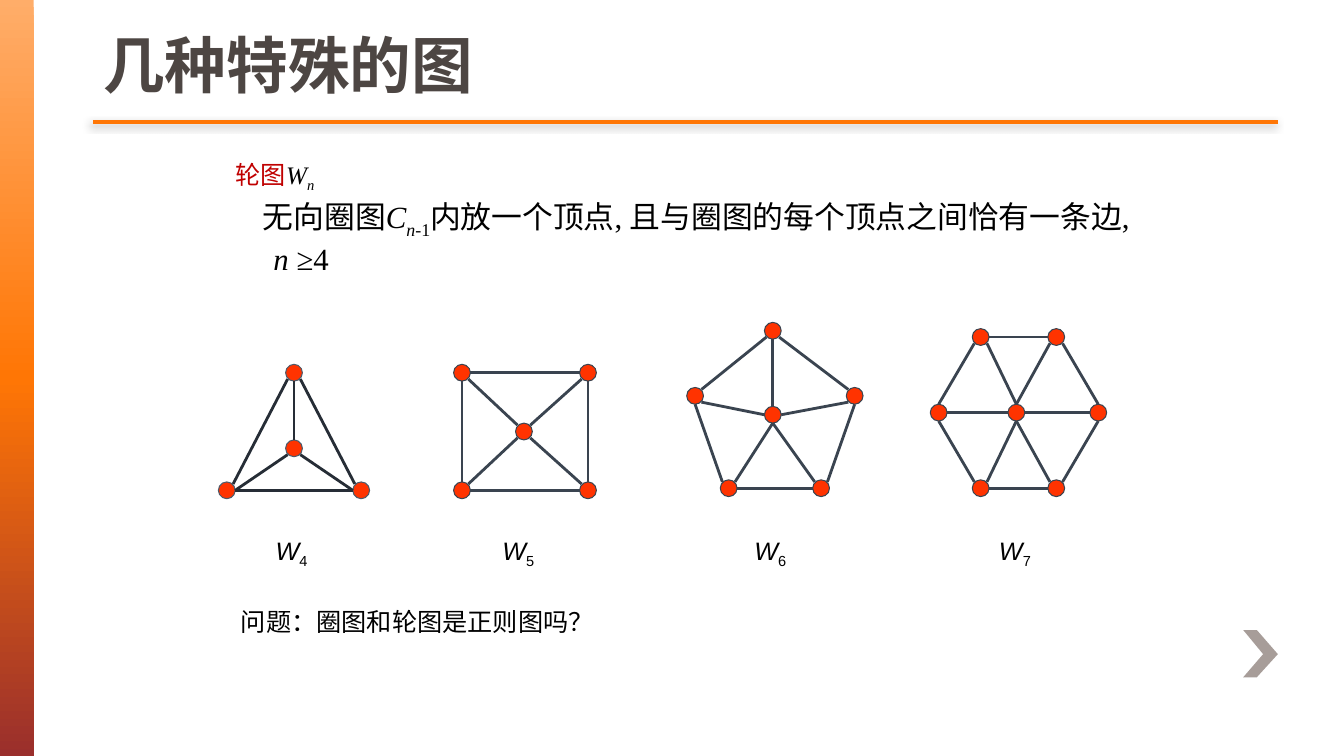
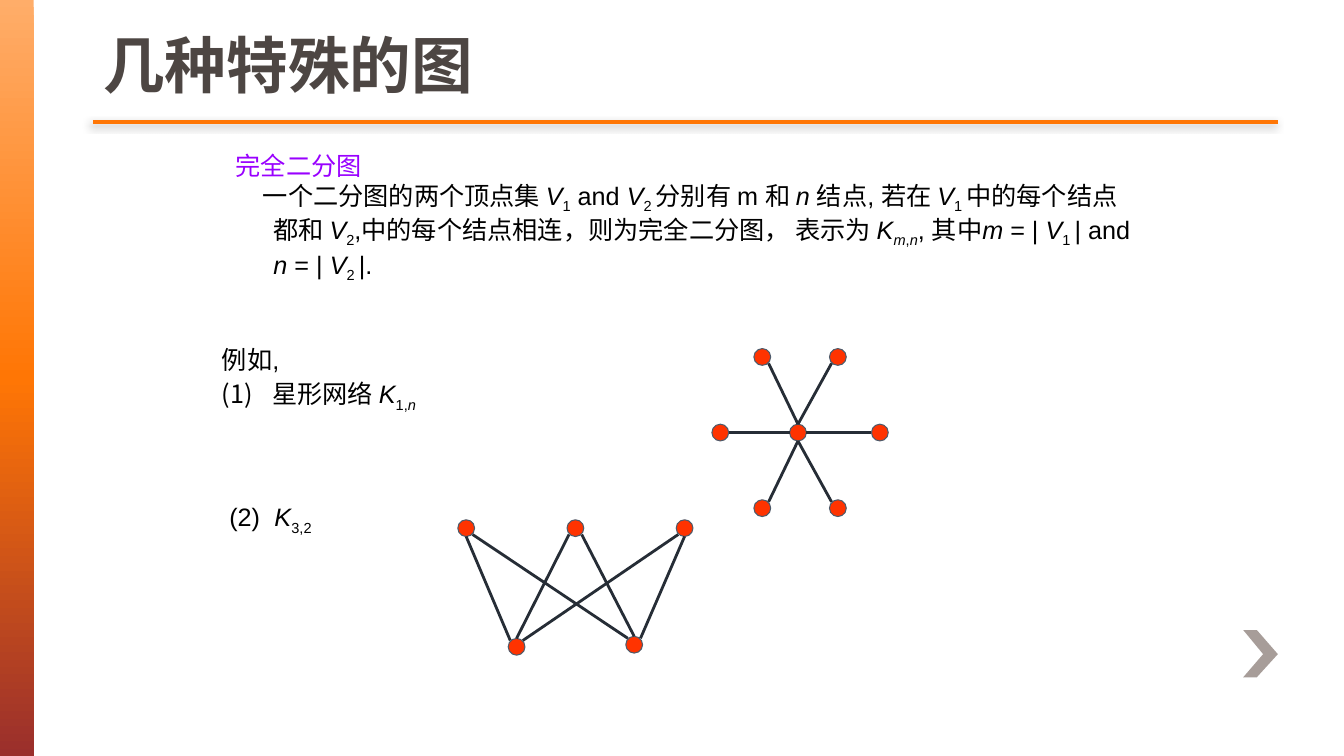
import copy

import lxml.etree
import pptx
import pptx.dml.color
import pptx.enum.shapes
import pptx.enum.text
import pptx.oxml.ns
import pptx.util

PX = 9525  # EMU per px, 96 px to the inch
RADIUS = 8
DIAGONAL = 6

COLORS = {
    "orange": "FF7605", "peach": "FFAD69", "brick": "9A2F2C",
    "taupe": "A79D99", "title": "4D4643", "title_edge": "675D59",
    "black": "000000", "red": "C00000", "purple": "9900FF",
    "vertex": "FF3300", "slate": "4D5B6B", "steel": "3A4450", "ink": "262D36",
}

SITES = {
    "n": (0, -RADIUS), "ne": (DIAGONAL, -DIAGONAL),
    "e": (RADIUS, 0), "se": (DIAGONAL, DIAGONAL),
    "s": (0, RADIUS), "sw": (-DIAGONAL, DIAGONAL),
    "w": (-RADIUS, 0), "nw": (-DIAGONAL, -DIAGONAL),
}

# Vertices are offsets from the hub, which comes last in each wheel.
TRIANGLE = [(-64, 40), (64, 40), (0, -72), (0, 0)]
SQUARE = [(-59, 56), (61, 56), (-59, -56), (61, -56), (0, 0)]
PENTAGON = [(-42, 70), (46, 70), (-74, -18), (78, -18), (0, -80), (0, 0)]
HEXAGON = [(-34, 72), (38, 72), (-74, 0), (78, 0), (-34, -72), (38, -72), (0, 0)]
BIPARTITE = [(-56, 113), (56, 111), (-104, 0), (104, 0), (0, 0)]

# An edge names a vertex and its compass point at either end.
TRIANGLE_EDGES = "0ne-2sw 0e-1w 1nw-2se 0e-3sw 1w-3se 3n-2s"
SQUARE_EDGES = "0n-2s 2e-3w 3s-1n 0e-1w 0ne-4sw 4nw-2se 4ne-3sw 4se-1nw"
PENTAGON_EDGES = ("2s-0nw 0e-1w 1ne-3s 3nw-4se 2ne-4sw "
                  "0ne-5s 1nw-5s 2se-5w 5e-3sw 5n-4s")
HEXAGON_RIM = "2s-0nw 0e-1w 1ne-3s 3n-5se 2n-4sw 4e-5w"
HEXAGON_SPOKES = "0ne-6s 1nw-6s 2e-6w 6e-3w 6n-4se 6n-5sw"
BIPARTITE_EDGES = "2s-0nw 4sw-0n 1ne-3s 3sw-0ne 2se-1nw 4se-1n"


def rgb(name):
    return pptx.dml.color.RGBColor.from_string(COLORS[name])


def sub(parent, tag, **attrs):
    """Append a DrawingML child."""
    child = lxml.etree.SubElement(parent, pptx.oxml.ns.qn("a:" + tag))
    for key, value in attrs.items():
        child.set(key, str(value))
    return child


class Deck:
    def __init__(self):
        self.prs = pptx.Presentation()
        self.prs.slide_width = 1280 * PX
        self.prs.slide_height = 720 * PX
        self.slide = None

    def new_slide(self, title):
        self.slide = self.prs.slides.add_slide(self.prs.slide_layouts[6])
        self.side_band()
        self.chevron()
        rule = self.line(89, 116, 1217, 116, "orange", 2.5)
        self.shadow(rule)
        tf = self.textbox(89, 0, 1121, 101)
        tf.vertical_anchor = pptx.enum.text.MSO_ANCHOR.BOTTOM
        p = self.paragraph(tf, [(title, "b")], size=44, color="title")
        rPr = p.runs[0].font._element
        outline = lxml.etree.Element(pptx.oxml.ns.qn("a:ln"), w="12700")
        sub(sub(outline, "solidFill"), "srgbClr", val=COLORS["title_edge"])
        rPr.insert(0, outline)

    def side_band(self):
        s = self.shape(pptx.enum.shapes.MSO_SHAPE.RECTANGLE, 0, 0, 32, 720)
        s.fill.gradient()
        s.fill.gradient_angle = 270
        stops = s._element.spPr.find(".//" + pptx.oxml.ns.qn("a:gsLst"))
        stops.append(copy.deepcopy(stops[-1]))
        marks = ((0, "peach"), (0.5, "orange"), (1, "brick"))
        for stop, (position, color) in zip(s.fill.gradient_stops, marks):
            stop.position = position
            stop.color.rgb = rgb(color)
        s.line.fill.background()

    def chevron(self):
        builder = self.slide.shapes.build_freeform(1197, 600, scale=PX)
        builder.add_line_segments(
            [(1184, 600), (1203, 623), (1184, 645), (1197, 645), (1217, 623)])
        s = builder.convert_to_shape()
        s.shadow.inherit = False
        s.fill.solid()
        s.fill.fore_color.rgb = rgb("taupe")
        s.line.fill.background()

    def shape(self, kind, x, y, w, h):
        s = self.slide.shapes.add_shape(kind, x * PX, y * PX, w * PX, h * PX)
        s.shadow.inherit = False
        return s

    def line(self, x1, y1, x2, y2, color, width=2):
        s = self.slide.shapes.add_connector(
            pptx.enum.shapes.MSO_CONNECTOR.STRAIGHT,
            x1 * PX, y1 * PX, x2 * PX, y2 * PX)
        s.line.color.rgb = rgb(color)
        s.line.width = pptx.util.Pt(width)
        sub(s._element.spPr, "effectLst")
        return s

    def shadow(self, s):
        effects = s._element.spPr.find(pptx.oxml.ns.qn("a:effectLst"))
        outer = sub(effects, "outerShdw", blurRad=63500, dist=38100,
                    dir=8100000, rotWithShape=0)
        sub(sub(outer, "srgbClr", val=COLORS["black"]), "alpha", val=45000)

    def vertex(self, x, y, outline):
        s = self.shape(pptx.enum.shapes.MSO_SHAPE.FLOWCHART_CONNECTOR,
                       x - RADIUS, y - RADIUS, 2 * RADIUS, 2 * RADIUS)
        s.fill.solid()
        s.fill.fore_color.rgb = rgb("vertex")
        s.line.color.rgb = rgb(outline)
        s.line.width = pptx.util.Pt(0.75)

    def graph(self, x, y, offsets, edges, outline="slate", edge_color="ink"):
        vertices = [(x + dx, y + dy) for dx, dy in offsets]
        for vx, vy in vertices:
            self.vertex(vx, vy, outline)
        for edge in edges.split():
            ends = []
            for end in edge.split("-"):
                vx, vy = vertices[int(end[0])]
                dx, dy = SITES[end[1:]]
                ends += [vx + dx, vy + dy]
            self.line(*ends, edge_color)

    def textbox(self, x, y, w, h):
        s = self.slide.shapes.add_textbox(x * PX, y * PX, w * PX, h * PX)
        s.text_frame.word_wrap = True
        return s.text_frame

    def paragraph(self, tf, runs, size=18, font="Arial", color="black",
                  margin=0, indent=0, before=0, numbered=False):
        """Add runs of (text, flags): i italic, b bold, _ subscript, r red."""
        p = tf.paragraphs[0]
        if p.runs:
            p = tf.add_paragraph()
            p.space_before = pptx.util.Pt(before)
        pPr = p._p.get_or_add_pPr()
        pPr.set("marL", str(margin * PX))
        pPr.set("indent", str(indent * PX))
        if numbered:
            sub(pPr, "buAutoNum", type="arabicParenBoth")
        for text, flags in runs:
            r = p.add_run()
            r.text = text
            r.font.name = font
            r.font.size = pptx.util.Pt(size)
            r.font.bold = "b" in flags
            r.font.italic = "i" in flags
            r.font.color.rgb = rgb("red" if "r" in flags else color)
            r.font._element.set("lang", "zh-CN")
            if "_" in flags:
                r.font._element.set("baseline", "-25000")
        return p


def wheel_slide(deck):
    deck.new_slide("几种特殊的图")
    tf = deck.textbox(215, 147, 873, 296)
    times = {"font": "Times New Roman", "margin": 36}
    deck.paragraph(tf, [("轮图", "r"), ("W", "i"), ("n", "i_")],
                   indent=-36, **times)
    deck.paragraph(tf, [
        ("无向圈图", ""), ("C", "i"), ("n", "i_"), ("-1", "_"),
        ("内放一个顶点, 且与圈图的每个顶点之间恰有一条边, ", ""),
        ("n ", "i"), ("≥4", ""),
    ], size=22, indent=-10, before=3, **times)

    for order, x in zip("4567", (253, 469, 709, 942)):
        tf = deck.textbox(x, 505, 83, 38)
        deck.paragraph(tf, [("W", "i"), (order, "_")])

    deck.graph(280, 427, TRIANGLE, TRIANGLE_EDGES)
    steel = ("steel", "steel")
    deck.graph(499, 411, SQUARE, SQUARE_EDGES, *steel)
    deck.graph(736, 395, PENTAGON, PENTAGON_EDGES, *steel)
    deck.graph(968, 393, HEXAGON, HEXAGON_RIM + " " + HEXAGON_SPOKES, *steel)

    tf = deck.textbox(220, 573, 506, 38)
    deck.paragraph(tf, [("问题：圈图和轮图是正则图吗？", "")])


def bipartite_slide(deck):
    deck.new_slide("几种特殊的图")
    tf = deck.textbox(215, 138, 873, 199)
    deck.paragraph(tf, [("完全二分图", "")], font="Times New Roman",
                   color="purple", margin=36, indent=-36)
    deck.paragraph(tf, [
        ("一个二分图的两个顶点集 ", ""), ("V", "i"), ("1", "_"), (" and ", ""),
        ("V", "i"), ("2 ", "_"), ("分别有 m 和 ", ""), ("n ", "i"),
        ("结点, 若在 ", ""), ("V", "i"), ("1 ", "_"),
        ("中的每个结点都和 ", ""), ("V", "i"), ("2", "_"),
        (",中的每个结点相连，则为完全二分图， 表示为 ", ""),
        ("K", "i"), ("m", "i_"), (",", "_"), ("n", "i_"), (", 其中", ""),
        ("m ", "i"), ("= | ", ""), ("V", "i"), ("1 ", "_"), ("| and ", ""),
        ("n ", "i"), ("= | ", ""), ("V", "i"), ("2 ", "_"), ("|.", ""),
    ], margin=36, indent=-10)

    tf = deck.textbox(202, 323, 872, 108)
    deck.paragraph(tf, [("例如,", "")], margin=48, indent=-48)
    deck.paragraph(tf, [("星形网络 ", ""), ("K", "i"), ("1,", "_"), ("n", "i_")],
                   margin=48, indent=-48, before=3, numbered=True)
    deck.graph(760, 412, HEXAGON, HEXAGON_SPOKES)

    tf = deck.textbox(209, 473, 872, 38)
    deck.paragraph(tf, [("(2)\t", ""), ("K", "i"), ("3,2", "_")],
                   margin=43, indent=-43)
    deck.graph(548, 503, BIPARTITE, BIPARTITE_EDGES)


def main():
    deck = Deck()
    wheel_slide(deck)
    bipartite_slide(deck)
    deck.prs.save("out.pptx")


if __name__ == "__main__":
    main()
